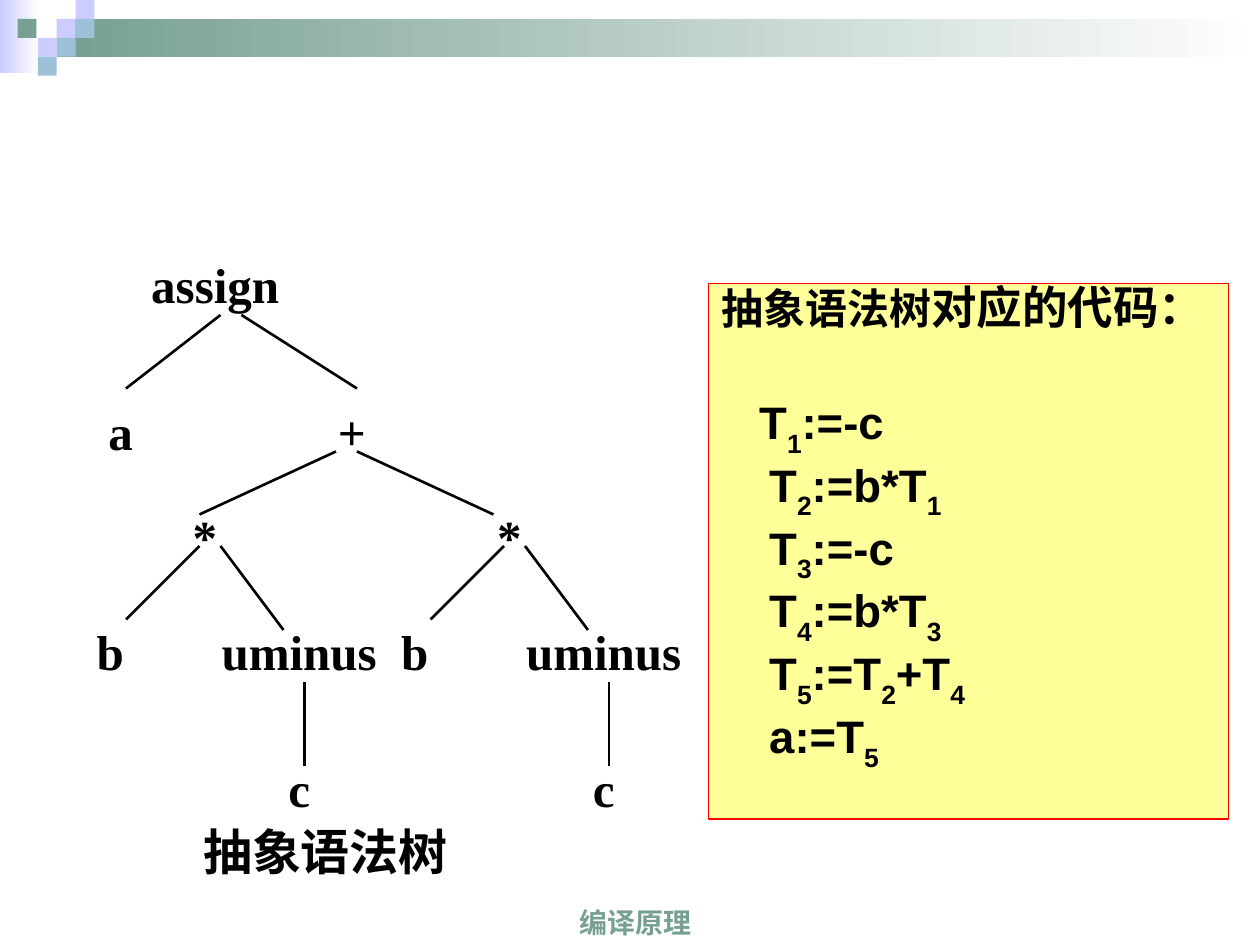
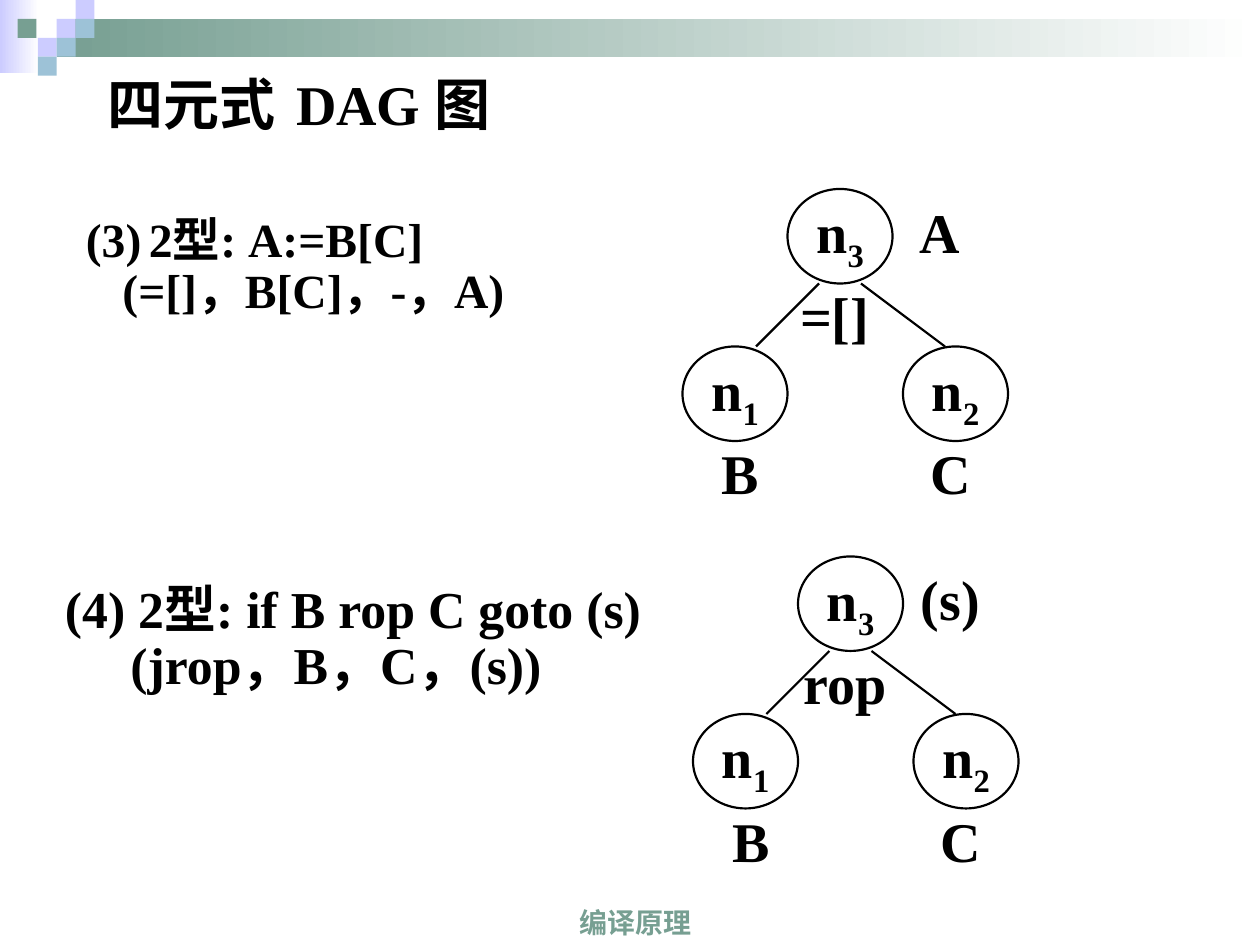
import pptx
import pptx.dml.color
import pptx.enum.shapes
import pptx.enum.text
import pptx.oxml
import pptx.oxml.ns
import pptx.util

RGB = pptx.dml.color.RGBColor
SHAPE = pptx.enum.shapes.MSO_SHAPE
ALIGN = pptx.enum.text.PP_ALIGN
ANCHOR = pptx.enum.text.MSO_ANCHOR
Pt = pptx.util.Pt
Inches = pptx.util.Inches

BLACK = RGB(0x00, 0x00, 0x00)
WHITE = RGB(0xFF, 0xFF, 0xFF)
GREEN = RGB(0x77, 0x9F, 0x92)
LILAC = RGB(0xCC, 0xCC, 0xFF)
BLUE = RGB(0x9D, 0xC2, 0xD7)
YELLOW = RGB(0xFF, 0xFF, 0x99)
RED = RGB(0xFF, 0x00, 0x00)

SERIF, SANS, CJK = "Times New Roman", "Arial", "Noto Sans CJK SC"
COLUMNS, ROWS = 120, 90
TITLE_AND_BODY, TITLE_ONLY = 1, 5
TILE = 1.8
TILES = [(3, 1, LILAC), (4, 0, LILAC), (4, 1, BLUE), (2, 2, LILAC),
         (0.93, 1, GREEN), (3, 2, BLUE), (2, 3, BLUE)]


class Deck:
    def __init__(self):
        self.prs = pptx.Presentation()
        self.prs.slide_width, self.prs.slide_height = Inches(10), Inches(7.5)
        self.slide = None

    def box(self, col, row, width, height):
        dx, dy = self.prs.slide_width / COLUMNS, self.prs.slide_height / ROWS
        return [round(v) for v in (col * dx, row * dy, width * dx, height * dy)]

    def new_slide(self, layout):
        first = self.slide is None
        self.slide = self.prs.slides.add_slide(self.prs.slide_layouts[layout])
        if first:
            self.decorate_master()
        self.text("编译原理", (39.25, 84, 42.5, 6), 16, SANS, GREEN,
                  anchor=ANCHOR.BOTTOM, wrap=True)

    def decorate_master(self):
        bands = [self.rect((0, 0, 3.72, 7), LILAC, WHITE),
                 self.rect((3 * TILE, TILE, 114.6, 2 * TILE), GREEN, WHITE)]
        tiles = [self.rect((c * TILE, r * TILE, TILE, TILE), color)
                 for c, r, color in TILES]
        tree = self.prs.slide_master.element.cSld.spTree
        for sp in bands + tiles:
            tree.append(sp.element)

    def rect(self, area, color, fade=None):
        sp = self.slide.shapes.add_shape(SHAPE.RECTANGLE, *self.box(*area))
        sp.shadow.inherit = False
        sp.line.fill.background()
        if fade is None:
            sp.fill.solid()
            sp.fill.fore_color.rgb = color
        else:
            sp.fill.gradient()
            sp.fill.gradient_angle = 0
            for stop, rgb in zip(sp.fill.gradient_stops, (color, fade)):
                stop.color.rgb = rgb
        return sp

    def style(self, r, size, font=SERIF, color=BLACK):
        r.font.size, r.font.bold, r.font.name = Pt(size), True, font
        r.font.color.rgb = color
        ea = pptx.oxml.parse_xml(
            f'<a:ea {pptx.oxml.ns.nsdecls("a")} typeface="{CJK}"/>')
        r.font._element.append(ea)

    def add_runs(self, p, text, size, font=SERIF, color=BLACK, drop=-25):
        head, *tails = text.split("_")
        pieces = [(head, 0)]
        for tail in tails:
            pieces += [(tail[0], drop), (tail[1:], 0)]
        for piece, baseline in pieces:
            if piece:
                r = p.add_run()
                r.text = piece
                self.style(r, size, font, color)
                if baseline:
                    r.font._element.set("baseline", str(baseline * 1000))

    def indent(self, p, inches, tab=None):
        pPr = p._p.get_or_add_pPr()
        pPr.set("marL", str(Inches(inches)))
        pPr.set("indent", "0")
        ns = pptx.oxml.ns.nsdecls("a")
        pPr.append(pptx.oxml.parse_xml(f"<a:buNone {ns}/>"))
        if tab:
            pPr.append(pptx.oxml.parse_xml(
                f'<a:tabLst {ns}><a:tab pos="{Inches(tab)}" algn="l"/></a:tabLst>'))

    def frame(self, sp, anchor, wrap):
        tf = sp.text_frame
        tf.auto_size = pptx.enum.text.MSO_AUTO_SIZE.NONE
        tf.word_wrap, tf.vertical_anchor = wrap, anchor
        return tf

    def text(self, text, area, size, font=SERIF, color=BLACK,
             anchor=ANCHOR.MIDDLE, wrap=False):
        sp = self.slide.shapes.add_textbox(*self.box(*area))
        p = self.frame(sp, anchor, wrap).paragraphs[0]
        p.alignment = ALIGN.CENTER
        self.add_runs(p, text, size, font, color)

    def place(self, sp, area):
        sp.left, sp.top, sp.width, sp.height = self.box(*area)

    def title(self, text, area, tab):
        sp = self.slide.shapes.title
        self.place(sp, area)
        p = self.frame(sp, ANCHOR.TOP, True).paragraphs[0]
        self.indent(p, 0, tab)
        p.alignment = ALIGN.LEFT
        self.add_runs(p, text, 32)

    def drop_title(self):
        sp = self.slide.shapes.title.element
        sp.getparent().remove(sp)

    def code_panel(self, heading, lines, area):
        sp = self.slide.placeholders[1]
        self.place(sp, area)
        sp.fill.solid()
        sp.fill.fore_color.rgb = YELLOW
        sp.line.color.rgb, sp.line.width = RED, Pt(0.75)
        tf = self.frame(sp, ANCHOR.TOP, True)
        p = tf.paragraphs[0]
        self.indent(p, 0)
        p.line_spacing, p.space_before = 0.8, Pt(0)
        for text, size in heading:
            self.add_runs(p, text, size, SANS)
        for i, line in enumerate(lines):
            p = tf.add_paragraph()
            self.indent(p, 0.38 if i else 0.3)
            p.line_spacing, p.space_before = 0.8, Pt(6.5 if i else 37)
            self.add_runs(p, line, 26, SANS, drop=-30)

    def quad(self, rule, code, area, size, indent, tab=None):
        sp = self.slide.shapes.add_textbox(*self.box(*area))
        tf = self.frame(sp, ANCHOR.TOP, True)
        for p, text, left in ((tf.paragraphs[0], rule, 0),
                              (tf.add_paragraph(), code, indent)):
            self.indent(p, left, tab)
            p.line_spacing = 0.9
            self.add_runs(p, text, size)

    def line(self, start, end, width):
        x1, y1, x2, y2 = self.box(*start, *end)
        cx = self.slide.shapes.add_connector(
            pptx.enum.shapes.MSO_CONNECTOR.STRAIGHT, x1, y1, x2, y2)
        cx.line.color.rgb, cx.line.width = BLACK, Pt(width)
        cx.element.spPr.append(pptx.oxml.parse_xml(
            f'<a:effectLst {pptx.oxml.ns.nsdecls("a")}/>'))

    def node(self, text, col, row):
        sp = self.slide.shapes.add_shape(SHAPE.OVAL, *self.box(col, row, 10, 9))
        sp.shadow.inherit = False
        sp.fill.background()
        sp.line.color.rgb, sp.line.width = BLACK, Pt(1.25)
        p = self.frame(sp, ANCHOR.MIDDLE, False).paragraphs[0]
        p.alignment = ALIGN.CENTER
        self.add_runs(p, text, 32)

    def tree(self, labels, branches, dx=0):
        for text, col, row in labels:
            self.text(text, (col + dx, row, 13, 8), 28)
        for x1, y1, x2, y2 in branches:
            self.line((x1 + dx, y1), (x2 + dx, y2), 1.5)

    def dag(self, col, row, operator, result):
        for text, x, y in (("n_3", 10, 0), ("n_1", 0, 15), ("n_2", 21, 15)):
            self.node(text, col + x, row + y)
        for text, x, y in ((result, 20, 0), (operator, 10, 8),
                           ("B", 1, 23), ("C", 21, 23)):
            self.text(text, (col + x, row + y, 9, 8), 32)
        for top, bottom in ((13, 7), (17, 25)):
            self.line((col + top, row + 9), (col + bottom, row + 15), 1.25)


def main():
    deck = Deck()

    deck.new_slide(TITLE_AND_BODY)
    deck.drop_title()
    deck.code_panel([("抽象语法树", 24), ("对应的代码：", 26)],
                    ["T_1:=-c", "T_2:=b*T_1", "T_3:=-c", "T_4:=b*T_3",
                     "T_5:=T_2+T_4", "a:=T_5"], (67.5, 27, 49.5, 51))
    deck.tree([("assign", 14, 23), ("a", 5, 37), ("+", 27, 37)],
              [(21, 30, 12, 37), (23, 30, 34, 37),
               (32, 43, 19, 49), (34, 43, 47, 49)])
    for dx in (0, 29):
        deck.tree([("*", 13, 47), ("b", 4, 58), ("uminus", 22, 58), ("c", 22, 71)],
                  [(19, 52, 12, 59), (21, 52, 27, 60), (29, 65, 29, 73)], dx)
    deck.text("抽象语法树", (21, 77, 20, 8), 28)

    deck.new_slide(TITLE_ONLY)
    deck.title("四元式\tDAG 图", (9, 6, 100, 9), 4.7)
    deck.quad("(3)\t2型: A:=B[C]", "(=[]，B[C]，-，A)",
              (7, 20, 50.6, 17), 27.2, 0.29, 0.63)
    deck.dag(65, 18, "=[]", "A")
    deck.quad("(4) 2型: if B rop C goto (s)", "(jrop，B，C，(s))",
              (5, 55, 63, 17), 29.6, 0.52)
    deck.dag(66, 53, "rop", "(s)")

    deck.prs.save("out.pptx")


if __name__ == "__main__":
    main()
